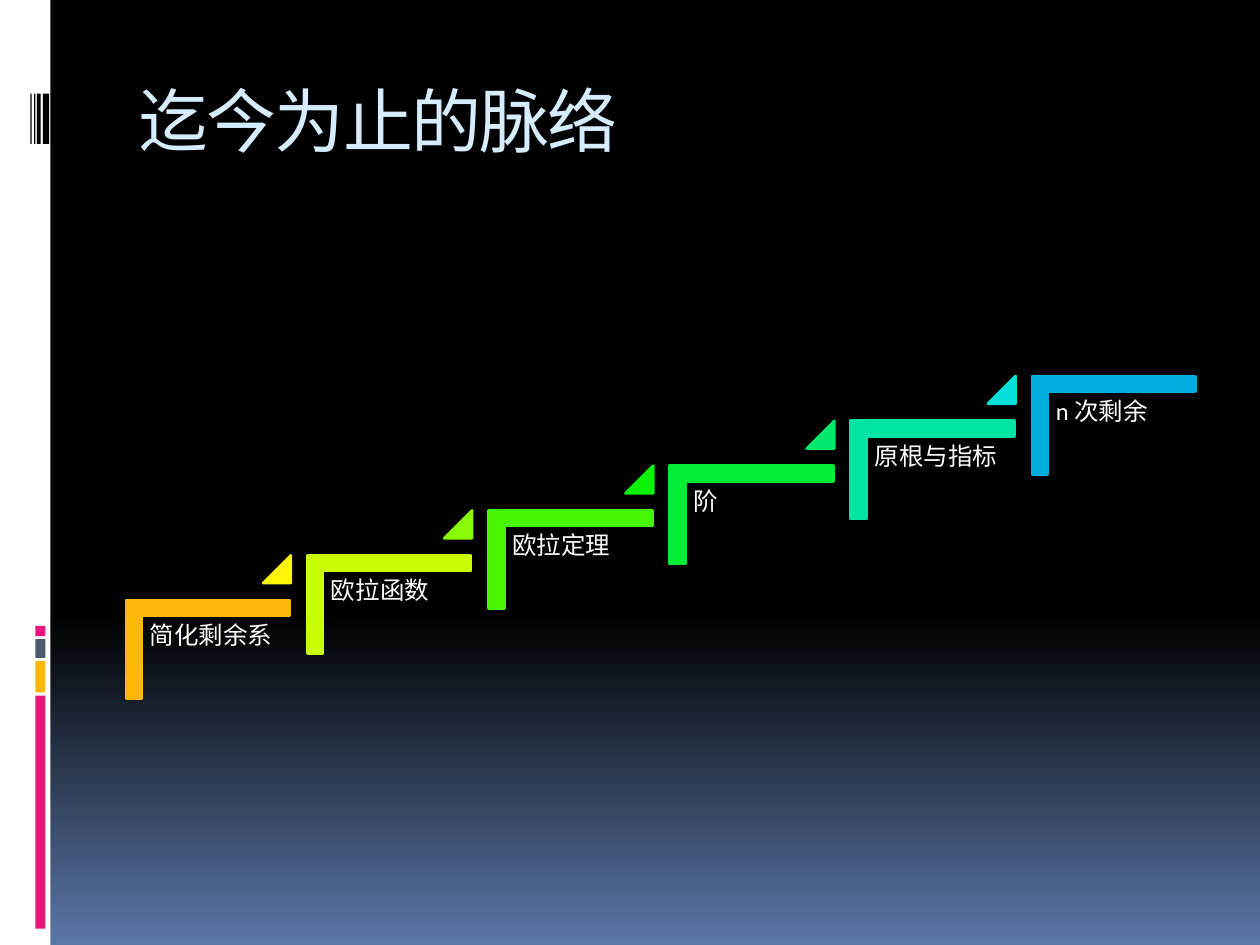
import pptx
import pptx.dml.color
import pptx.enum.shapes
import pptx.enum.text
import pptx.util

Pt = pptx.util.Pt
SHAPES = pptx.enum.shapes.MSO_SHAPE


def colour(value):
    return pptx.dml.color.RGBColor.from_string(value)


def write(box, text, size, font, ink, inset, line_spacing=1.0, tracking=0):
    frame = box.text_frame
    frame.word_wrap = True
    frame.auto_size = pptx.enum.text.MSO_AUTO_SIZE.NONE
    frame.vertical_anchor = pptx.enum.text.MSO_ANCHOR.TOP
    frame.margin_left = frame.margin_right = Pt(inset[0])
    frame.margin_top = frame.margin_bottom = Pt(inset[1])
    para = frame.paragraphs[0]
    para.alignment = pptx.enum.text.PP_ALIGN.LEFT
    para.line_spacing = line_spacing
    span = para.add_run()
    span.text = text
    span.font.size = Pt(size)
    span.font.name = font
    span.font.color.rgb = colour(ink)
    if tracking:
        span.font._element.set("spc", str(tracking * 100))


deck = pptx.Presentation()
deck.slide_width, deck.slide_height = Pt(720), Pt(540)
page = deck.slides.add_slide(deck.slide_layouts[5])

# Background: black, fading to blue at the bottom
backdrop = page.background.fill
backdrop.gradient()
backdrop.gradient_angle = 270
for stop, (position, shade) in zip(backdrop.gradient_stops,
                                   [(0.65, "000000"), (1, "5B77A8")]):
    stop.position = position
    stop.color.rgb = colour(shade)

# Side band, its coloured blocks and the barcode strokes
side_bars = [
    (0, 0, 28.8, 540, "FFFFFF"),
    (20.16, 397.5, 5.76, 133.2, "EA157A"),
    (20.16, 377.7, 5.76, 18, "FEB80A"),
    (20.16, 365.2, 5.76, 10.8, "4E5B6F"),
    (20.16, 357.7, 5.76, 5.76, "EA157A"),
    (24.5, 53.5, 3.6, 28.8, "000000"),
    (21.1, 53.5, 2.2, 28.8, "000000"),
    (19.5, 53.5, 0.7, 28.8, "000000"),
    (17.4, 53.5, 0.7, 28.8, "000000"),
]
for left, top, width, height, shade in side_bars:
    bar = page.shapes.add_shape(SHAPES.RECTANGLE, Pt(left), Pt(top), Pt(width), Pt(height))
    bar.shadow.inherit = False
    bar.fill.solid()
    bar.fill.fore_color.rgb = colour(shade)
    bar.line.fill.background()

# Title
title = page.shapes.title
title.left, title.top, title.width, title.height = Pt(72), Pt(40.5), Pt(612), Pt(72)
write(title, "迄今为止的脉络", size=40, font="Noto Sans Mono", ink="D6ECFF",
      inset=(7.2, 3.6), tracking=-1)

# Staircase: each step is a corner, a label and a triangle leading to the next
STEP_X, STEP_Y = 103.54, 25.63
steps = [
    ("简化剩余系", "FEB80A", "FEF506"),
    ("欧拉函数", "C8FE01", "87FA01"),
    ("欧拉定理", "47F601", "09F200"),
    ("阶", "00ED33", "00E96C"),
    ("原根与指标", "00E5A3", "00E0D8"),
    ("n 次剩余", "00ADDC", None),
]
for index, (label, corner_shade, triangle_shade) in enumerate(steps):
    x, y = index * STEP_X, -index * STEP_Y

    corner = page.shapes.add_shape(SHAPES.CORNER, Pt(90.72 + x), Pt(324.2 + y),
                                   Pt(56.2), Pt(93.6))
    corner.rotation = 90
    corner.adjustments[0] = corner.adjustments[1] = 0.16
    parts = [(corner, corner_shade)]

    box = page.shapes.add_textbox(Pt(81.4 + x), Pt(352.1 + y), Pt(84.4), Pt(74))
    write(box, label, size=14, font="Calibri", ink="FFFFFF",
          inset=(4.2, 4.2), line_spacing=0.9)

    if triangle_shade:
        triangle = page.shapes.add_shape(SHAPES.ISOSCELES_TRIANGLE, Pt(150.3 + x),
                                         Pt(317.3 + y), Pt(15.9), Pt(15.9))
        triangle.adjustments[0] = 1
        parts.append((triangle, triangle_shade))

    for part, shade in parts:
        part.shadow.inherit = False
        part.fill.solid()
        part.fill.fore_color.rgb = colour(shade)
        part.line.color.rgb = colour(shade)
        part.line.width = Pt(1.5)

deck.save("out.pptx")
